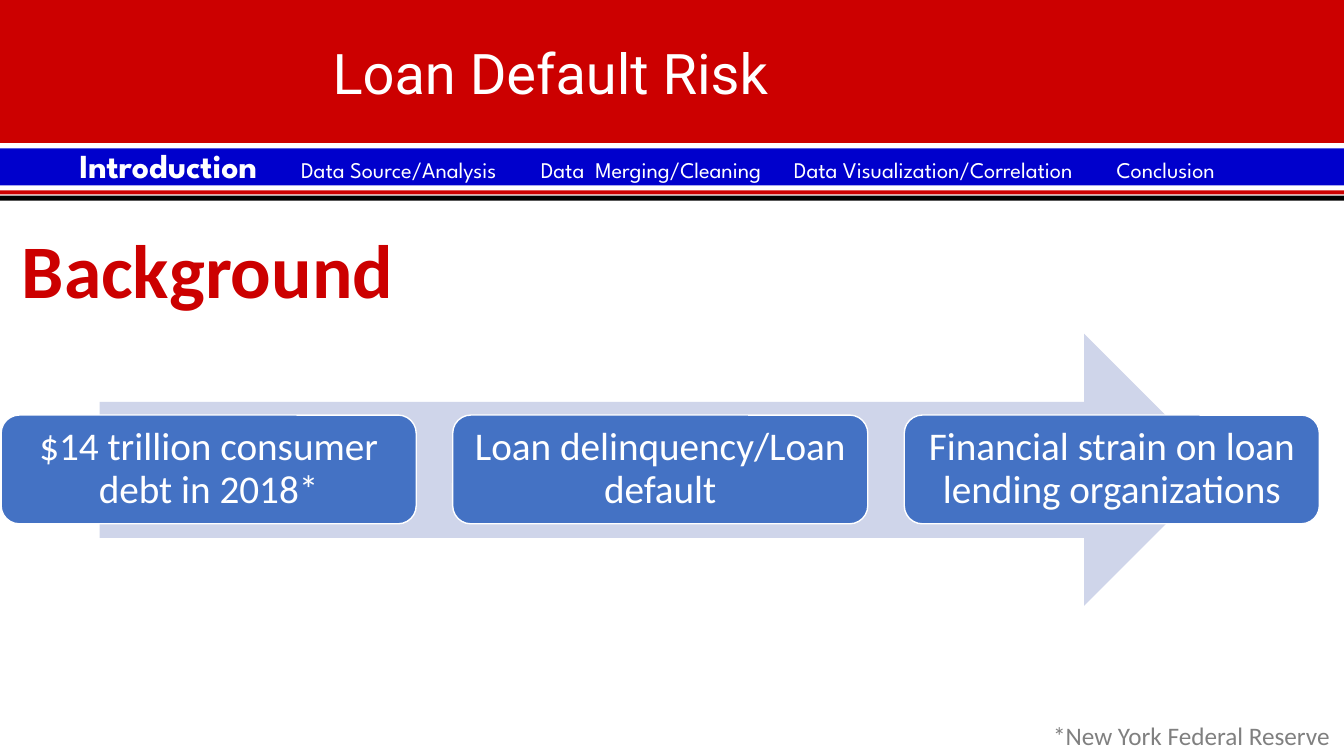
from lxml import etree
from pptx import Presentation
from pptx import util as u
from pptx.dml.color import RGBColor
from pptx.enum import shapes, text
from pptx.oxml.ns import qn

RED, BLUE, WHITE, BLACK = "CC0000", "0000CC", "FFFFFF", "000000"
STEP_BLUE, ARROW_BLUE, GREY = "4472C4", "CFD5EA", "808080"
SLIDE_WIDTH, SLIDE_HEIGHT = 33.87, 19.05

SECTIONS = ["Introduction", "Data Source/Analysis", "Data  Merging/Cleaning",
            "Data Visualization/Correlation", "Conclusion"]
SECTION_TABS = [5.59, 11.63, 18.01, 26.14]
STEPS = ["$14 trillion consumer debt in 2018*",
         "Loan delinquency/Loan default",
         "Financial strain on loan lending organizations"]
STEP_LEFT, STEP_PITCH = 0.03, 11.38


def color(value):
    return RGBColor.from_string(value)


def apply(target, values):
    for name, value in values.items():
        setattr(target, name, value)


def place(shape, left, top, width, height):
    apply(shape, {"left": u.Cm(left), "top": u.Cm(top),
                  "width": u.Cm(width), "height": u.Cm(height)})


def set_frame(shape, inset=(0.25, 0.13), anchor=text.MSO_ANCHOR.TOP, wrap=True):
    horizontal, vertical = map(u.Cm, inset)
    apply(shape.text_frame, {
        "word_wrap": wrap, "auto_size": text.MSO_AUTO_SIZE.NONE,
        "vertical_anchor": anchor,
        "margin_left": horizontal, "margin_right": horizontal,
        "margin_top": vertical, "margin_bottom": vertical})


def add_run(paragraph, words, size, fill, font="Calibri", bold=False):
    run = paragraph.add_run()
    run.text = words
    apply(run.font, {"name": font, "size": u.Pt(size), "bold": bold})
    run.font.color.rgb = color(fill)


def add_block(slide, kind, box, fill, line=None):
    shape = slide.shapes.add_shape(kind, *map(u.Cm, box))
    shape.shadow.inherit = False
    shape.fill.solid()
    shape.fill.fore_color.rgb = color(fill)
    if line:
        shape.line.color.rgb = color(line)
        shape.line.width = u.Pt(1)
    else:
        shape.line.fill.background()
    return shape


def add_band(slide, top, height, fill):
    box = (0, top, SLIDE_WIDTH, height)
    add_block(slide, shapes.MSO_SHAPE.RECTANGLE, box, fill)


def add_label(slide, box, words, size, fill, bold=False, wrap=True):
    label = slide.shapes.add_textbox(*map(u.Cm, box))
    set_frame(label, wrap=wrap)
    add_run(label.text_frame.paragraphs[0], words, size, fill, bold=bold)


def format_title(slide, words):
    title = slide.shapes.title
    title.element.getparent().append(title.element)
    place(title, 8.13, 0.84, 19.28, 3.51)
    set_frame(title)
    paragraph = title.text_frame.paragraphs[0]
    paragraph.alignment = text.PP_ALIGN.LEFT
    add_run(paragraph, words, 40, WHITE, "Roboto")


def add_navigation(slide):
    bar = slide.shapes.add_textbox(*map(u.Cm, (2, 3.53, 31, 1.27)))
    set_frame(bar, inset=(0, 0.13))
    paragraph = bar.text_frame.paragraphs[0]
    properties = paragraph._p.get_or_add_pPr()
    tab_list = etree.SubElement(properties, qn("a:tabLst"))
    for position in SECTION_TABS:
        etree.SubElement(tab_list, qn("a:tab"), pos=str(int(u.Cm(position))), algn="l")
    current, *others = SECTIONS
    add_run(paragraph, current, 24, WHITE, "League Spartan", True)
    for section in others:
        add_run(paragraph, "\t" + section, 16, WHITE, "League Spartan")


def add_step(slide, left, words):
    box = (left, 10.46, 10.46, 2.74)
    step = add_block(slide, shapes.MSO_SHAPE.ROUNDED_RECTANGLE, box, STEP_BLUE, WHITE)
    set_frame(step, inset=(0.25, 0.25), anchor=text.MSO_ANCHOR.MIDDLE)
    paragraph = step.text_frame.paragraphs[0]
    apply(paragraph, {"alignment": text.PP_ALIGN.CENTER, "line_spacing": 0.9})
    add_run(paragraph, words, 28, WHITE)


def main():
    presentation = Presentation()
    apply(presentation, {"slide_width": u.Cm(SLIDE_WIDTH),
                         "slide_height": u.Cm(SLIDE_HEIGHT)})
    slide = presentation.slides.add_slide(presentation.slide_layouts[5])

    add_band(slide, 0, 4.9, RED)
    add_band(slide, 3.66, 1.04, BLUE)
    format_title(slide, "Loan Default Risk")
    add_band(slide, 4.93, 0.13, BLACK)
    add_navigation(slide)
    for top in (3.61, 4.67):
        add_band(slide, top, 0.13, WHITE)

    add_label(slide, (0.3, 5.49, 10.06, 2.57), "Background", 54, RED, bold=True)
    add_block(slide, shapes.MSO_SHAPE.RIGHT_ARROW, (2.51, 8.41, 28.24, 6.86), ARROW_BLUE)
    for index, words in enumerate(STEPS):
        add_step(slide, STEP_LEFT + index * STEP_PITCH, words)
    add_label(slide, (26.29, 18.03, 7.57, 1.02), "*New York Federal Reserve",
              18, GREY, wrap=False)

    presentation.save("out.pptx")


if __name__ == "__main__":
    main()
